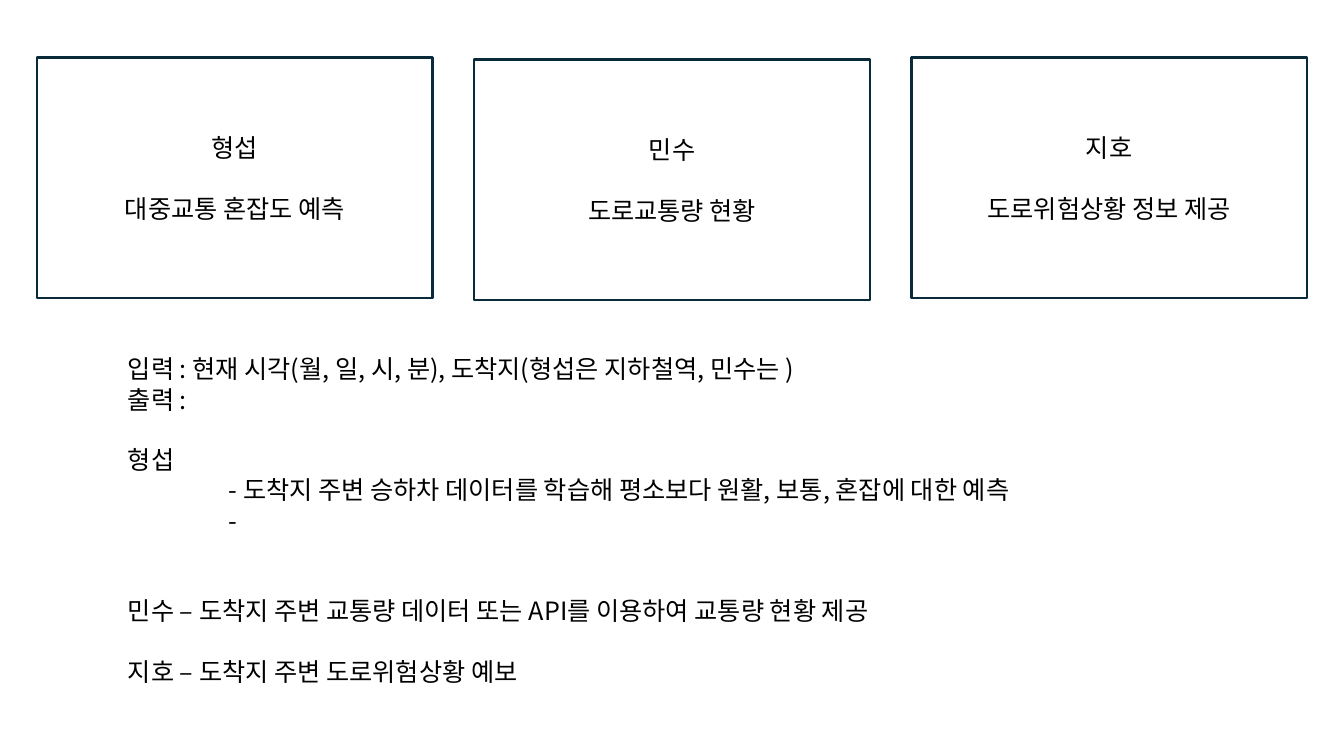
from lxml.etree import SubElement
from pptx import Presentation
from pptx.dml.color import RGBColor
from pptx.enum.shapes import MSO_SHAPE
from pptx.enum.text import MSO_ANCHOR, PP_ALIGN
from pptx.oxml.ns import qn
from pptx.util import Inches, Pt

FONT = "Noto Sans CJK KR"
LINE_PITCH = 21.6

# Name, task, top of the card
CARDS = [
    ("형섭", "대중교통 혼잡도 예측", 0.57),
    ("민수", "도로교통량 현황", 0.59),
    ("지호", "도로위험상황 정보 제공", 0.57),
]

# Text, blank lines above, indent in inches
NOTES = [
    ("입력 : 현재 시각(월, 일, 시, 분), 도착지(형섭은 지하철역, 민수는 )", 0, 0),
    ("출력 :", 0, 0),
    ("형섭", 1, 0),
    ("- 도착지 주변 승하차 데이터를 학습해 평소보다 원활, 보통, 혼잡에 대한 예측", 0, 1),
    ("-", 0, 1),
    ("민수 – 도착지 주변 교통량 데이터 또는 API를 이용하여 교통량 현황 제공", 2, 0),
    ("지호 – 도착지 주변 도로위험상황 예보", 1, 0),
]


def color(value):
    return RGBColor.from_string(value)


def write_paragraph(para, text, blank_lines=0, indent=0):
    para.text = text
    para.line_spacing = Pt(LINE_PITCH)
    para.space_before = Pt(blank_lines * LINE_PITCH)
    if indent:
        para._p.get_or_add_pPr().set("marL", str(Inches(indent)))
    for span in para.runs:
        span.font.name = FONT
        span.font.size = Pt(18)
        span.font.color.rgb = color("000000")
        # Korean letters take the East Asian typeface
        SubElement(span.font._element, qn("a:ea")).set("typeface", FONT)


def add_card(page, left, top, width, height, name, task):
    box = page.shapes.add_shape(MSO_SHAPE.RECTANGLE, Inches(left), Inches(top),
                                Inches(width), Inches(height))
    box.shadow.inherit = False
    box.fill.background()
    box.line.color.rgb = color("092A39")
    box.line.width = Pt(1.5)
    frame = box.text_frame
    frame.vertical_anchor = MSO_ANCHOR.MIDDLE
    write_paragraph(frame.paragraphs[0], name)
    write_paragraph(frame.add_paragraph(), task, blank_lines=1)
    for para in frame.paragraphs:
        para.alignment = PP_ALIGN.CENTER


def add_card_row(page, left, width, height, pitch):
    for index, (name, task, top) in enumerate(CARDS):
        add_card(page, left + index * pitch, top, width, height, name, task)


def add_notes(page, left, top, width, height):
    box = page.shapes.add_textbox(Inches(left), Inches(top), Inches(width), Inches(height))
    frame = box.text_frame
    frame.word_wrap = True
    for index, (text, blank_lines, indent) in enumerate(NOTES):
        para = frame.add_paragraph() if index else frame.paragraphs[0]
        write_paragraph(para, text, blank_lines, indent)


def main():
    deck = Presentation()
    deck.slide_width = Inches(13.33)
    deck.slide_height = Inches(7.5)
    page = deck.slides.add_slide(deck.slide_layouts[6])
    add_card_row(page, left=0.37, width=3.92, height=2.39, pitch=4.335)
    add_notes(page, left=1.17, top=3.46, width=12.06, height=3.43)
    deck.save("out.pptx")


if __name__ == "__main__":
    main()
